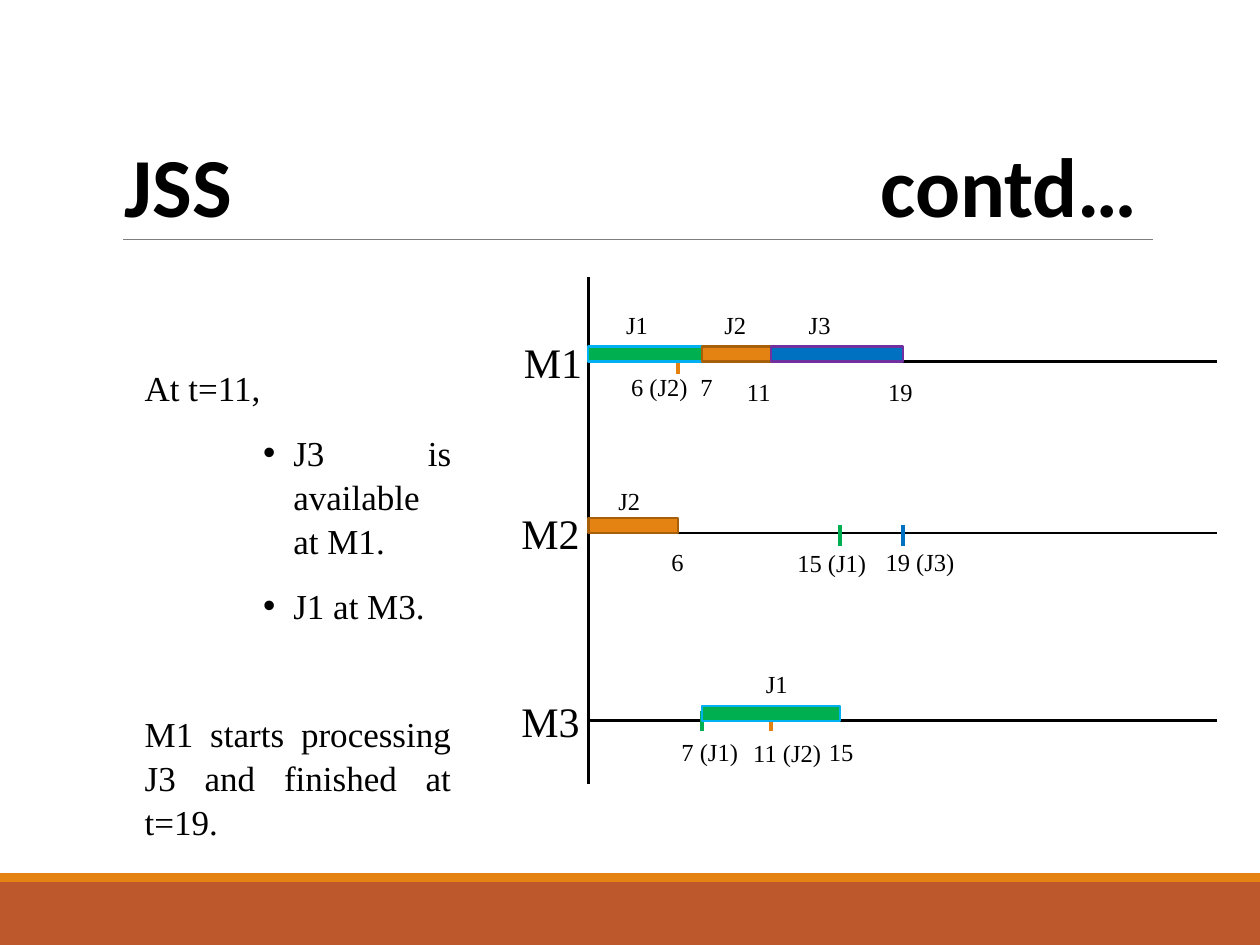
from lxml.etree import SubElement
from pptx import Presentation
from pptx.dml.color import RGBColor
from pptx.enum.shapes import MSO_CONNECTOR, MSO_SHAPE
from pptx.enum.text import MSO_ANCHOR, PP_ALIGN
from pptx.oxml.ns import qn
from pptx.util import Inches, Pt

# ---- Content ----
TITLE = "JSS\t\t\t\t\t\tcontd…"
NOTES = [  # text, bulleted, space before in points
    ("At t=11,", False, 0),
    ("J3 is available at M1.", True, 0),
    ("J1 at M3.", True, 0),
    ("M1 starts processing J3 and finished at t=19.", False, 36),
]
# Positions are in grid columns and rows (100 x 75 on the slide)
EVENT_COL = {0: 46.7, 6: 53.8, 7: 55.7, 11: 61.2, 15: 66.7, 19: 71.7}
MACHINES = [
    dict(name="M1", name_col=40.6, row=28.7,
         jobs=[("J1", 0, 7, 48.7), ("J2", 7, 11, 56.5), ("J3", 11, 19, 63.2)],
         arrivals=[("J2", 6)], job_gap=4.6, tick_top=-0.6,
         times=[("6 (J2)\t7", 49.1, 8.8, 0.3), ("11", 58.3, 4.2, 0.7),
                ("19", 69.5, 4.2, 0.7)]),
    dict(name="M2", name_col=40.4, row=42.3,
         jobs=[("J2", 0, 6, 48.1)],
         arrivals=[("J1", 15), ("J3", 19)], job_gap=4.2, tick_top=-0.6,
         times=[("6", 52.3, 3.3, 0.6), ("15 (J1)", 62.3, 8.3, 0.7),
                ("19 (J3)", 69.3, 7.8, 0.6)]),
    dict(name="M3", name_col=40.4, row=57.2,
         jobs=[("J1", 7, 15, 59.8)],
         arrivals=[("J1", 7), ("J2", 11)], job_gap=4.6, tick_top=-0.8,
         times=[("7 (J1)", 53.1, 7.2, 0.8), ("11 (J2)", 58.8, 8.3, 0.9),
                ("15", 64.8, 4.2, 0.8)]),
]
THEME = dict(
    heading="Calibri", body="Times New Roman",
    title_size=48, note_size=20, machine_size=24, label_size=14,
    ink="000000", rule="7F7F7F", footer="BD582C", accent="E48312",
    jobs={"J1": ("00B050", "00B0F0"), "J2": ("E48312", "A75F0A"),
          "J3": ("0070C0", "7030A0")},
)

deck = Presentation()
deck.slide_width, deck.slide_height = Inches(10), Inches(7.5)
slide = deck.slides.add_slide(deck.slide_layouts[6])
COL, ROW = deck.slide_width / 100, deck.slide_height / 75


def place(*cells):
    """Turn (column, row, column, row) into slide lengths."""
    return [round(cell * unit) for cell, unit in zip(cells, (COL, ROW) * 2)]


def bar(left, top, width, height, fill, edge=None):
    block = slide.shapes.add_shape(MSO_SHAPE.RECTANGLE, *place(left, top, width, height))
    block.shadow.inherit = False
    block.fill.solid()
    block.fill.fore_color.rgb = RGBColor.from_string(fill)
    if edge:
        block.line.color.rgb = RGBColor.from_string(edge)
        block.line.width = Pt(1.25)
    else:
        block.line.fill.background()


def rule(x1, y1, x2, y2, color, weight):
    stroke = slide.shapes.add_connector(MSO_CONNECTOR.STRAIGHT, *place(x1, y1, x2, y2))
    stroke.line.color.rgb = RGBColor.from_string(color)
    stroke.line.width = Pt(weight)
    SubElement(stroke._element.spPr, qn("a:effectLst"))


def text_frame(left, top, width, height, wrap=True):
    frame = slide.shapes.add_textbox(*place(left, top, width, height)).text_frame
    frame.word_wrap = wrap
    return frame


def style(paragraph, size, face=THEME["body"], bold=False):
    for run in paragraph.runs:
        run.font.name, run.font.size, run.font.bold = face, Pt(size), bold
        run.font.color.rgb = RGBColor.from_string(THEME["ink"])


def tab_stops(paragraph, stops):
    tabs = SubElement(paragraph._p.get_or_add_pPr(), qn("a:tabLst"))
    for stop in stops:
        SubElement(tabs, qn("a:tab"), pos=str(Inches(stop)), algn="l")


def label(text, left, top, width, height, size):
    frame = text_frame(left, top, width, height, wrap=False)
    frame.text = text
    if "\t" in text:
        tab_stops(frame.paragraphs[0], [0.55])
    style(frame.paragraphs[0], size)


# ---- Footer bands, title and its rule ----
bar(0, 70, 100, 5, THEME["footer"])
bar(0, 69.3, 100, 0.7, THEME["accent"])
rule(9.8, 19, 91.5, 19, THEME["rule"], 0.5)
heading = text_frame(8.9, 3.2, 82.5, 15.9)
heading.vertical_anchor = MSO_ANCHOR.BOTTOM
heading.text = TITLE
heading.paragraphs[0].line_spacing = 0.85
tab_stops(heading.paragraphs[0], range(1, 8))
style(heading.paragraphs[0], THEME["title_size"], THEME["heading"], True)

# ---- Notes on the left ----
notes = text_frame(10.5, 28.4, 26.3, 34.4)
for index, (text, bulleted, before) in enumerate(NOTES):
    note = notes.add_paragraph() if index else notes.paragraphs[0]
    note.text = text
    note.alignment = PP_ALIGN.JUSTIFY
    note.line_spacing = 1.05
    note.space_before, note.space_after = Pt(before), Pt(12)
    if bulleted:
        props = note._p.get_or_add_pPr()
        props.set("marL", str(Inches(1.18)))
        props.set("indent", str(Inches(-0.24)))
        SubElement(props, qn("a:buFont"), typeface="Arial")
        SubElement(props, qn("a:buChar"), char="•")
    style(note, THEME["note_size"])

# ---- Schedule chart: axes, then each machine's row ----
START, END = EVENT_COL[0], 96.6
rule(START, 22, START, 62.2, THEME["ink"], 1.5)
for machine in MACHINES:
    row = machine["row"]
    rule(START, row, END, row, THEME["ink"], 1.5)
    label(machine["name"], machine["name_col"], row - 2.5, 7, 5, THEME["machine_size"])
    for job, time in machine["arrivals"]:
        tick_row = row + machine["tick_top"]
        rule(EVENT_COL[time], tick_row, EVENT_COL[time], tick_row + 1.6,
             THEME["jobs"][job][0], 2.25)
    for job, begin, finish, name_col in machine["jobs"]:
        left = EVENT_COL[begin]
        bar(left, row - 1.2, EVENT_COL[finish] - left, 1.2, *THEME["jobs"][job])
        label(job, name_col, row - machine["job_gap"], 3.8, 3.4, THEME["label_size"])
    for text, left, width, drop in machine["times"]:
        label(text, left, row + drop, width, 3.4, THEME["label_size"])

deck.save("out.pptx")
